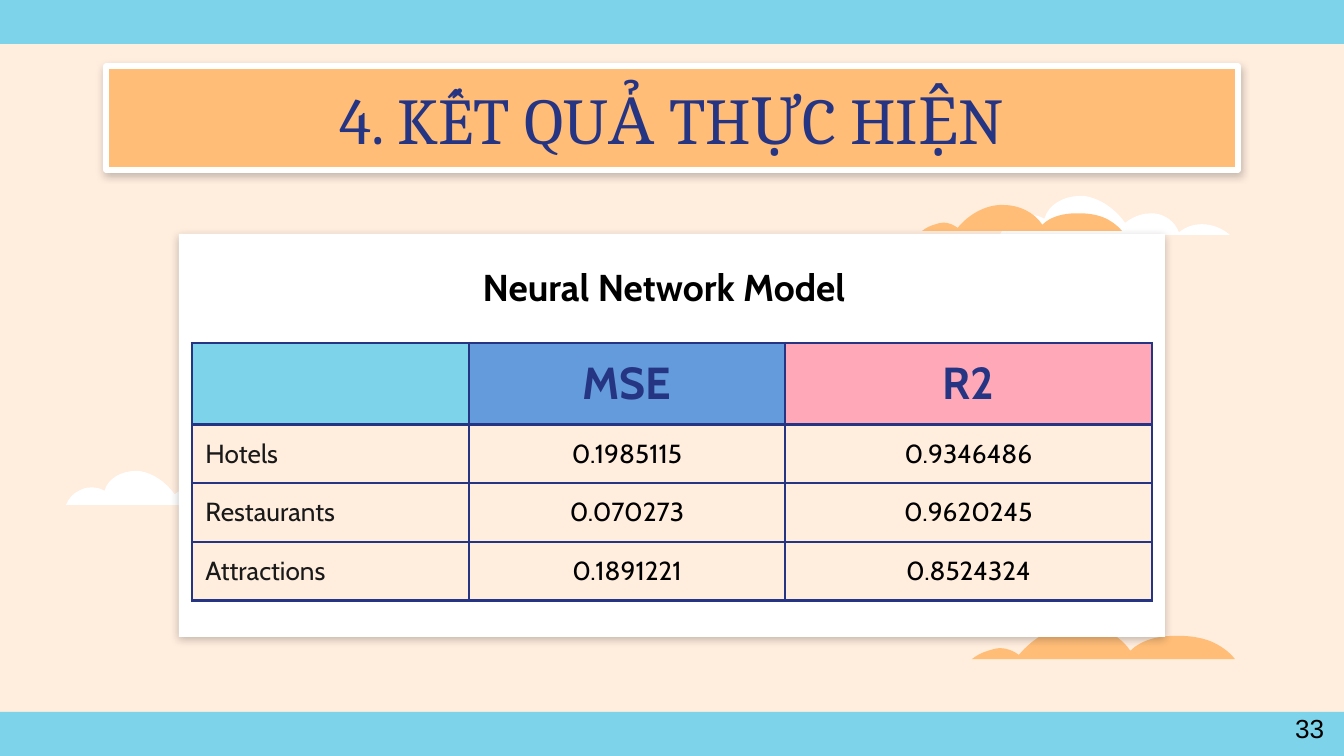
from lxml import etree
from pptx import Presentation, util as u
from pptx.dml.color import RGBColor
from pptx.enum import shapes, text
from pptx.oxml import parse_xml
from pptx.oxml.ns import nsdecls, qn

SCALE = 914400 / 134.4  # EMU in one px
COLORS = {"sky": "7CD3EA", "sand": "FFEDDE", "orange": "FFBD77", "navy": "263583",
          "blue": "639BDC", "pink": "FFA8B8", "white": "FFFFFF", "ink": "191919",
          "black": "000000"}

BANDS = [(-1, -1, 1346, 45), (-1, 712, 1346, 46)]
TITLE = ("4. KẾT QUẢ THỰC HIỆN", (106, 66, 1132, 104))
CARD = (179, 234, 986, 403)
LABELS = [
    ("Neural Network Model", (291, 258, 746, 59), text.PP_ALIGN.CENTER,
     {"size": u.Pt(20), "name": "Cabin", "bold": True}),
    ("33", (1282, 706, 56, 46), text.PP_ALIGN.LEFT, {"size": u.Pt(14), "name": "Arial"}),
]

# Outlines: size, start point, then segments of three points (curve) or one (line)
THREE_BUMPS = (171, 29), (59, 0), [
    [(48, 0), (36, 6), (33, 17)], [(30, 15), (26, 14), (22, 14)],
    [(18, 14), (14, 15), (11, 17)], [(6, 19), (2, 24), (0, 29)], [(171, 29)],
    [(165, 24), (158, 21), (150, 21)], [(144, 21), (138, 23), (133, 27)],
    [(130, 19), (123, 14), (115, 13)], [(114, 13), (112, 13), (111, 13)],
    [(105, 13), (98, 16), (93, 20)], [(86, 10), (75, 2), (63, 0)],
    [(62, 0), (60, 0), (59, 0)]]
TWO_BUMPS = (196, 25), (80, 0), [
    [(78, 0), (77, 0), (76, 0)], [(60, 1), (45, 10), (35, 22)],
    [(31, 19), (26, 17), (21, 17)], [(18, 17), (15, 18), (12, 19)],
    [(8, 20), (4, 22), (0, 25)], [(196, 25)], [(191, 19), (185, 15), (178, 12)],
    [(170, 9), (162, 8), (154, 8)], [(153, 8), (152, 8), (151, 8)],
    [(139, 8), (126, 11), (118, 19)], [(110, 7), (95, 0), (80, 0)]]
CLOUDS = [(THREE_BUMPS, "white", (66, 471, 200, 34)),
          (TWO_BUMPS, "orange", (972, 625, 263, 34)),
          (THREE_BUMPS, "white", (1000, 196, 230, 39)),
          (TWO_BUMPS, "orange", (922, 205, 200, 26))]

TABLE_AT = (192, 343)
COLUMNS = [277, 316, 367]
ROWS = [81, 58, 58, 58]
HEADER_FILLS = ["sky", "blue", "pink"]
RESULTS = [["", "MSE", "R2"],
           ["Hotels", "0.1985115", "0.9346486"],
           ["Restaurants", "0.070273", "0.9620245"],
           ["Attractions", "0.1891221", "0.8524324"]]


def emu(lengths):
    return [round(length * SCALE) for length in lengths]


def rgb(color):
    return RGBColor.from_string(COLORS[color])


def paint(shape, color):
    shape.shadow.inherit = False
    shape.fill.solid()
    shape.fill.fore_color.rgb = rgb(color)
    shape.line.fill.background()
    return shape


def add_rect(page, place, color):
    return paint(page.shapes.add_shape(shapes.MSO_SHAPE.RECTANGLE, *emu(place)), color)


def drop_shadow(shape):
    effects = shape._element.spPr.find(qn("a:effectLst"))
    effects.append(parse_xml(
        f'<a:outerShdw {nsdecls("a")} blurRad="57150" dist="19050" dir="5400000" '
        f'algn="bl" rotWithShape="0"><a:srgbClr val="{COLORS["ink"]}">'
        '<a:alpha val="26000"/></a:srgbClr></a:outerShdw>'))


def write(frame, words, align, color, font):
    para = frame.paragraphs[0]
    para.alignment = align
    span = para.add_run()
    span.text = words
    span.font.color.rgb = rgb(color)
    for name, value in font.items():
        setattr(span.font, name, value)


def add_cloud(page, outline, color, place):
    """Build the outline from its end points, then bend its curved segments."""
    (wide, high), start, segments = outline
    left, top, width, height = emu(place)
    builder = page.shapes.build_freeform(*start, scale=(width / wide, height / high))
    builder.add_line_segments([segment[-1] for segment in segments], close=True)
    cloud = paint(builder.convert_to_shape(left, top), color)
    lines = list(cloud._element.iter(qn("a:lnTo")))
    for line, segment in zip(lines, segments):
        if len(segment) == 3:
            line.tag = qn("a:cubicBezTo")
            line.clear()
            for x, y in segment:
                etree.SubElement(line, qn("a:pt"), x=str(x), y=str(y))


def add_borders(cell):
    props = cell._tc.get_or_add_tcPr()
    for index, side in enumerate(("lnL", "lnR", "lnT", "lnB")):
        line = etree.Element(qn(f"a:{side}"), w=str(u.Pt(1.5)))
        fill = etree.SubElement(line, qn("a:solidFill"))
        etree.SubElement(fill, qn("a:srgbClr"), val=COLORS["navy"])
        props.insert(index, line)


def add_results(page):
    size = sum(COLUMNS), sum(ROWS)
    table = page.shapes.add_table(len(ROWS), len(COLUMNS), *emu(TABLE_AT + size)).table
    table.first_row = table.horz_banding = False
    for column, width in zip(table.columns, emu(COLUMNS)):
        column.width = width
    for row, height in zip(table.rows, emu(ROWS)):
        row.height = height
    for r, record in enumerate(RESULTS):
        for c, words in enumerate(record):
            cell = table.cell(r, c)
            for side in ("left", "right", "top", "bottom"):
                setattr(cell, f"margin_{side}", u.Inches(0.1))
            cell.fill.solid()
            cell.fill.fore_color.rgb = rgb("sand" if r else HEADER_FILLS[c])
            add_borders(cell)
            if words:
                color = "navy" if r == 0 else "black" if c else "ink"
                align = text.PP_ALIGN.CENTER if c else text.PP_ALIGN.LEFT
                font = {"size": u.Pt(14 if r else 24), "name": "Cabin", "bold": r == 0}
                write(cell.text_frame, words, align, color, font)


def add_title(page):
    words, place = TITLE
    banner = add_rect(page, place, "orange")
    banner.line.color.rgb = rgb("white")
    banner.line.width = u.Pt(3)
    etree.SubElement(banner._element.spPr.find(qn("a:ln")), qn("a:round"))
    drop_shadow(banner)
    banner.text_frame.vertical_anchor = text.MSO_ANCHOR.MIDDLE
    write(banner.text_frame, words, text.PP_ALIGN.CENTER, "navy",
          {"size": u.Pt(35), "name": "Cambria"})


def main():
    deck = Presentation()
    deck.slide_width, deck.slide_height = emu((1344, 756))
    page = deck.slides.add_slide(deck.slide_layouts[6])
    page.background.fill.solid()
    page.background.fill.fore_color.rgb = rgb("sand")
    for place in BANDS:
        add_rect(page, place, "sky")
    add_title(page)
    for cloud in CLOUDS:
        add_cloud(page, *cloud)
    drop_shadow(add_rect(page, CARD, "white"))
    add_results(page)
    for words, place, align, font in LABELS:
        box = page.shapes.add_textbox(*emu(place))
        box.text_frame.word_wrap = True
        write(box.text_frame, words, align, "black", font)
    deck.save("out.pptx")


if __name__ == "__main__":
    main()
